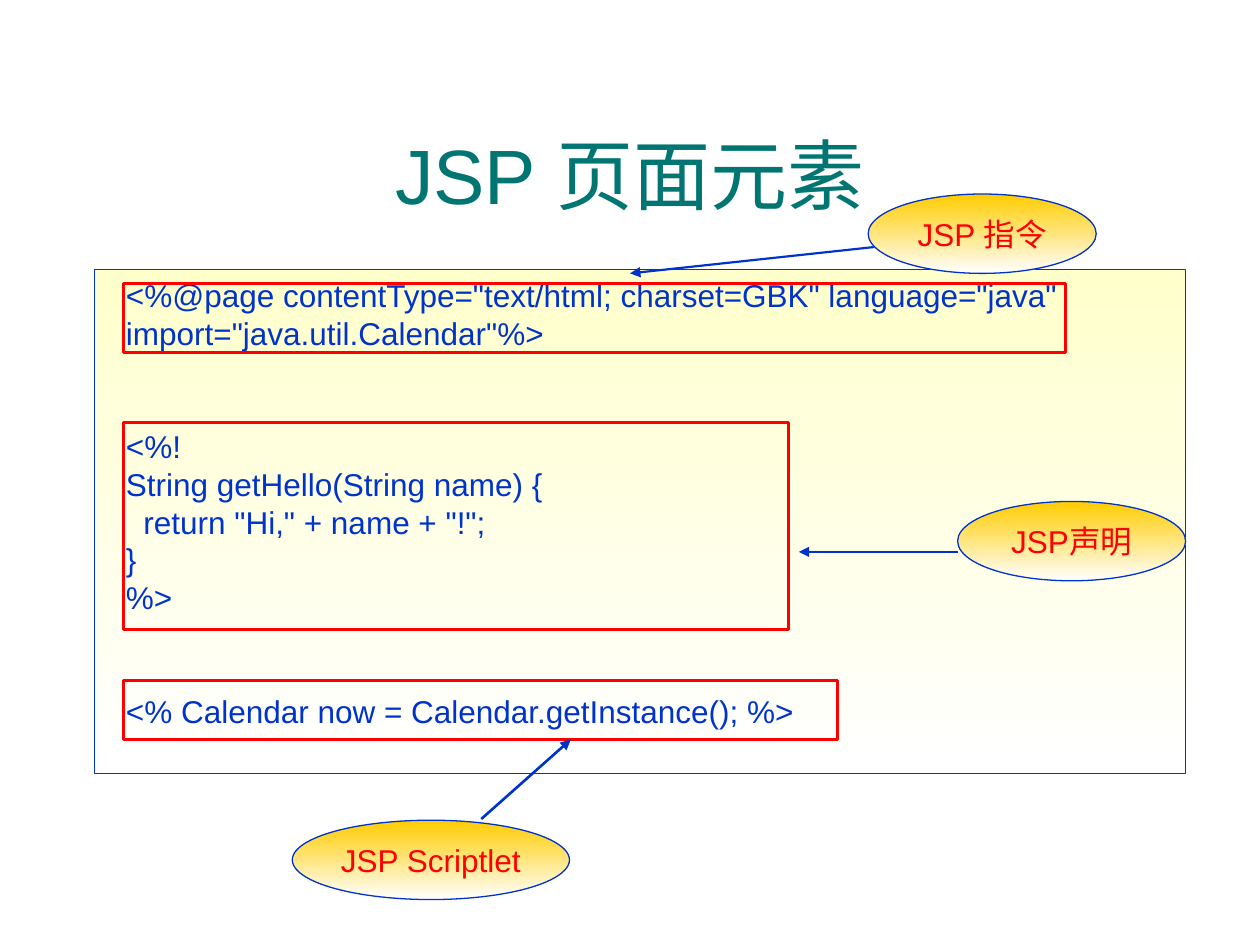
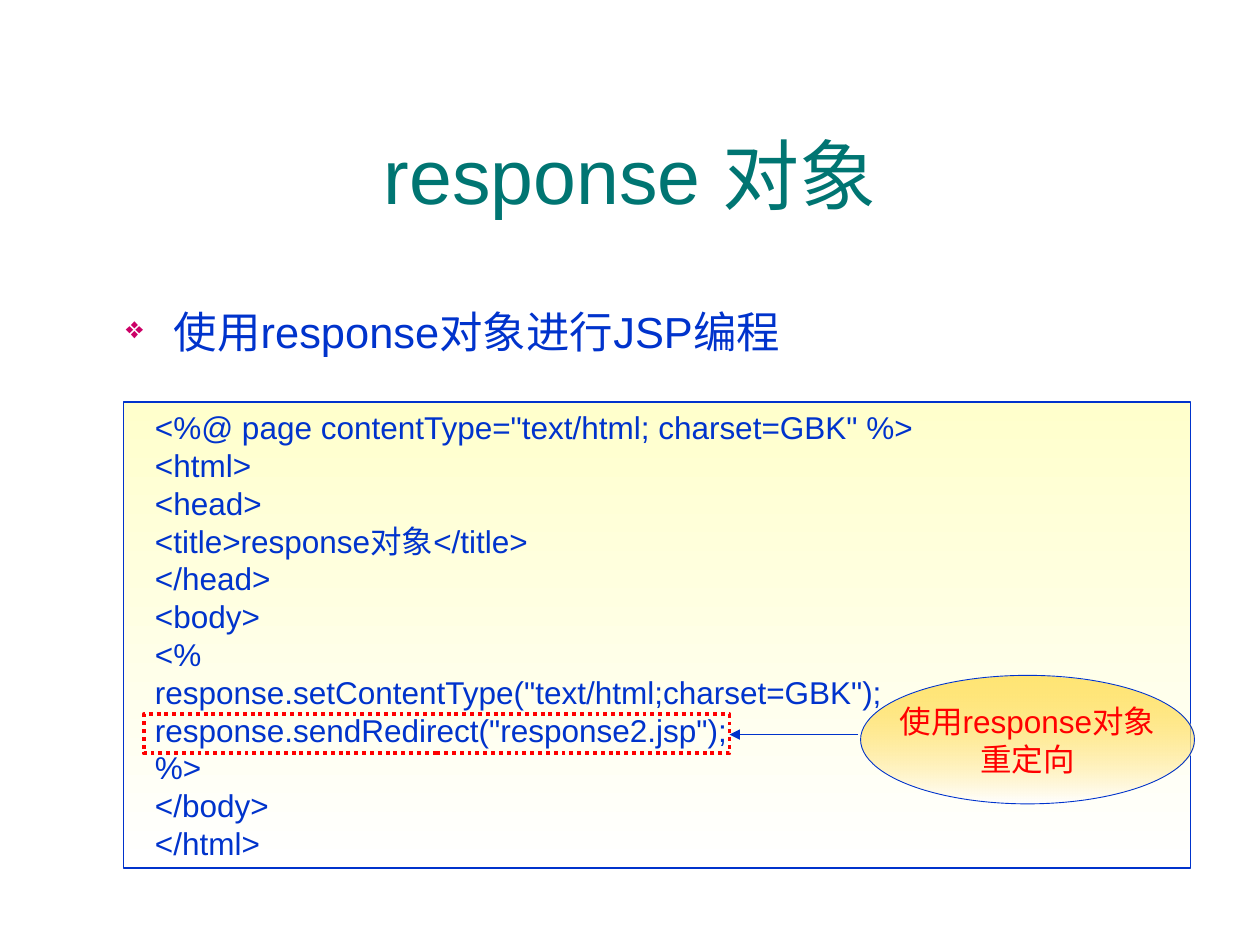
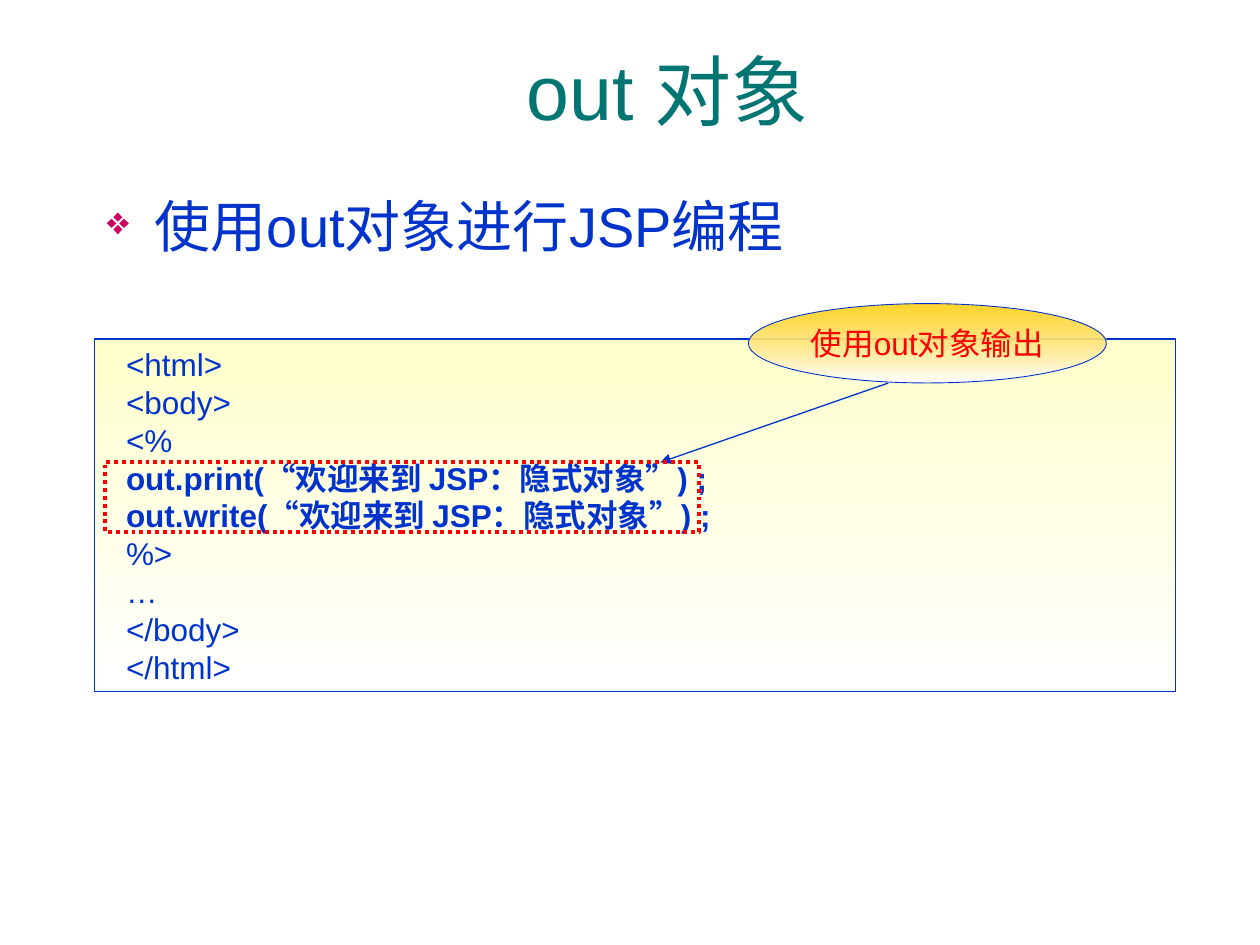
import pptx
import pptx.util
import pptx.dml.color
import pptx.enum.dml
import pptx.enum.shapes
import pptx.enum.text
import pptx.oxml
import pptx.oxml.ns
import lxml.etree

Inches = pptx.util.Inches
Pt = pptx.util.Pt
RGBColor = pptx.dml.color.RGBColor
Shape = pptx.enum.shapes.MSO_SHAPE
Align = pptx.enum.text.PP_ALIGN
Anchor = pptx.enum.text.MSO_ANCHOR
qn = pptx.oxml.ns.qn

TEAL = RGBColor(0x00, 0x75, 0x72)
BLUE = RGBColor(0x00, 0x33, 0xCC)
RED = RGBColor(0xFF, 0x00, 0x00)
PINK = RGBColor(0xCC, 0x00, 0x66)
CREAM = RGBColor(0xFF, 0xFF, 0xCC)
GOLD = RGBColor(0xFF, 0xCC, 0x00)
WHITE = RGBColor(0xFF, 0xFF, 0xFF)

FACE = "Arial"
PITCH = Pt(21.6)


def inches(box):
    return [Inches(n) for n in box]


def shift(box, part):
    return (box[0] + part[0], box[1] + part[1], *part[2:])


def add(parent, tag, **attrs):
    node = lxml.etree.SubElement(parent, qn(tag))
    for key, value in attrs.items():
        node.set(key, value)
    return node


def style(para, size, color, bold=False):
    para.font.name = FACE
    para.font.size = Pt(size)
    para.font.color.rgb = color
    para.font.bold = bold


def write(frame, lines, color, align, bold=(), gaps=()):
    frame.text = "\n".join(lines)
    for row, para in enumerate(frame.paragraphs):
        para.alignment = align
        para.line_spacing = PITCH
        if row in gaps:
            para.space_before = 2 * PITCH
        style(para, 18, color, row in bold)


def block(slide, kind, box, edge, width):
    shape = slide.shapes.add_shape(kind, *inches(box))
    shape.shadow.inherit = False
    shape.line.color.rgb = edge
    shape.line.width = Pt(width)
    return shape


def fade(shape, color, alpha=100):
    shape.fill.gradient()
    shape.fill.gradient_angle = 270
    for stop, tone in zip(shape.fill.gradient_stops, (color, WHITE)):
        stop.color.rgb = tone
    if alpha < 100:
        first = shape.element.find(".//" + qn("a:srgbClr"))
        add(first, "a:alpha", val=str(alpha * 1000))


def title(slide, box, text):
    frame = slide.shapes.add_textbox(*inches(box)).text_frame
    frame.word_wrap = True
    frame.vertical_anchor = Anchor.MIDDLE
    frame.text = text
    para = frame.paragraphs[0]
    para.alignment = Align.CENTER
    style(para, 44, TEAL)


def bullet(slide, box, text, size):
    frame = slide.shapes.add_textbox(*inches(box)).text_frame
    frame.word_wrap = True
    frame.text = text
    para = frame.paragraphs[0]
    props = para._p.get_or_add_pPr()
    props.set("marL", str(Inches(0.38)))
    props.set("indent", str(Inches(-0.38)))
    add(add(props, "a:buClr"), "a:srgbClr", val=str(PINK))
    add(props, "a:buSzPct", val="70000")
    add(props, "a:buChar", char="❖")
    style(para, size, BLUE)


def panel(slide, box, lines, width=0.75, tail=0, **looks):
    shape = block(slide, Shape.RECTANGLE, box, BLUE, width)
    fade(shape, CREAM)
    frame = shape.text_frame
    frame.word_wrap = True
    frame.vertical_anchor = Anchor.MIDDLE
    frame.margin_left, frame.margin_right = Inches(0.25), 0
    frame.margin_bottom = Inches(0.05 + tail)
    write(frame, lines, BLUE, Align.LEFT, **looks)


def mark(slide, box, dotted=True):
    shape = block(slide, Shape.RECTANGLE, box, RED, 2.25 if dotted else 1.75)
    shape.fill.background()
    if dotted:
        shape.line.dash_style = pptx.enum.dml.MSO_LINE.ROUND_DOT


def arrow(slide, box, ends, width=0.75):
    start, stop = shift(box, ends[:2]), shift(box, ends[2:])
    line = slide.shapes.add_connector(
        pptx.enum.shapes.MSO_CONNECTOR.STRAIGHT, *inches(start + stop))
    line.line.color.rgb = BLUE
    line.line.width = Pt(width)
    add(line.line._get_or_add_ln(), "a:tailEnd", type="triangle")
    add(line.element.spPr, "a:effectLst")


def label(slide, box, lines, width=0.5, alpha=100):
    shape = block(slide, Shape.OVAL, box, BLUE, width)
    fade(shape, GOLD, alpha)
    frame = shape.text_frame
    frame.word_wrap = False
    frame.vertical_anchor = Anchor.MIDDLE
    write(frame, lines, RED, Align.CENTER)


def parts(slide):
    title(slide, (0.33, 0.75, 9.34, 1.25), "JSP 页面元素")
    box = (0.75, 2.14, 8.66, 4)
    panel(slide, box, [
        '<%@page contentType="text/html; charset=GBK" language="java" '
        'import="java.util.Calendar"%>',
        "<%!",
        "String getHello(String name) {",
        '  return "Hi," + name + "!";',
        "}",
        "%>",
        "<% Calendar now = Calendar.getInstance(); %>",
    ], width=1, tail=0.3, gaps=(1, 6))
    for top, width, height in ((0.11, 7.48, 0.55), (1.21, 5.28, 1.65),
                               (3.26, 5.67, 0.47)):
        mark(slide, shift(box, (0.23, top, width, height)), dotted=False)
    for ends, width in (((6.38, -0.2, 4.25, 0.03), 1.25),
                        ((6.85, 2.24, 5.59, 2.24), 1.5),
                        ((3.07, 4.36, 3.78, 3.73), 1.5)):
        arrow(slide, box, ends, width)
    for left, top, width, text in ((6.14, -0.6, 1.81, "JSP 指令"),
                                   (6.85, 1.84, 1.81, "JSP声明"),
                                   (1.57, 4.37, 2.2, "JSP Scriptlet")):
        label(slide, shift(box, (left, top, width, 0.63)), [text], 0.75)


def reply(slide):
    title(slide, (0.33, 0.75, 9.34, 1.25), "response 对象")
    box = (0.98, 3.19, 8.47, 3.7)
    panel(slide, box, [
        '<%@ page contentType="text/html; charset=GBK" %>',
        "<html>",
        "<head>",
        "<title>response对象</title>",
        "</head>",
        "<body>",
        "<%",
        'response.setContentType("text/html;charset=GBK");',
        'response.sendRedirect("response2.jsp");',
        "%>",
        "</body>",
        "</html>",
    ])
    label(slide, shift(box, (5.85, 2.17, 2.65, 1.02)),
          ["使用response对象", "重定向"], alpha=50)
    arrow(slide, box, (5.83, 2.64, 4.81, 2.64))
    mark(slide, shift(box, (0.16, 2.48, 4.65, 0.31)))
    bullet(slide, (0.9, 2.37, 7.48, 0.55), "使用response对象进行JSP编程", 24.8)


def output(slide):
    title(slide, (0.8, 0.28, 9, 0.87), "out 对象")
    box = (0.75, 2.69, 8.58, 2.8)
    panel(slide, box, [
        "<html>",
        "<body>",
        "<%",
        "out.print(“欢迎来到 JSP：隐式对象”) ;",
        "out.write(“欢迎来到 JSP：隐式对象”) ;",
        "%>",
        "…",
        "</body>",
        "</html>",
    ], bold=(3, 4))
    label(slide, shift(box, (5.19, -0.28, 2.84, 0.63)),
          ["使用out对象输出"], alpha=84)
    arrow(slide, box, (6.3, 0.35, 4.49, 0.98))
    mark(slide, shift(box, (0.08, 0.98, 4.72, 0.55)))
    bullet(slide, (0.75, 1.47, 9, 2.21), "使用out对象进行JSP编程", 32)


def main():
    deck = pptx.Presentation()
    deck.slide_width, deck.slide_height = Inches(10), Inches(7.5)
    for build in (parts, reply, output):
        build(deck.slides.add_slide(deck.slide_layouts[6]))
    deck.save("out.pptx")


if __name__ == "__main__":
    main()
